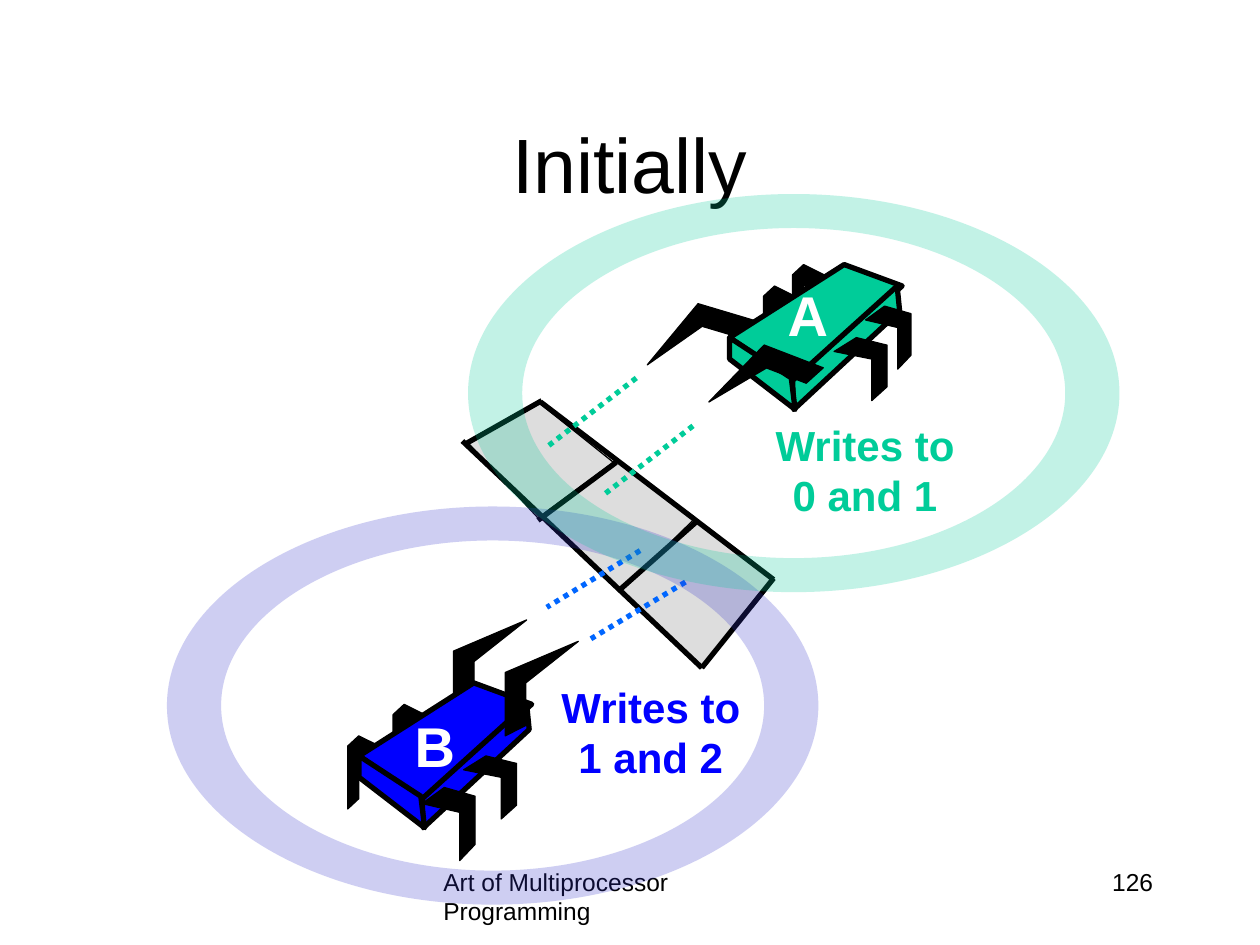
from dataclasses import dataclass

from lxml import etree
from pptx import Presentation
from pptx.dml.color import RGBColor
from pptx.enum.dml import MSO_LINE
from pptx.enum.shapes import MSO_CONNECTOR
from pptx.enum.text import MSO_ANCHOR, PP_ALIGN
from pptx.oxml.ns import qn
from pptx.util import Cm, Pt

BLACK = RGBColor(0x00, 0x00, 0x00)
WHITE = RGBColor(0xFF, 0xFF, 0xFF)
GREY = RGBColor(0xDD, 0xDD, 0xDD)
GREEN = RGBColor(0x00, 0xCC, 0x99)
BLUE = RGBColor(0x00, 0x00, 0xFF)
SKY = RGBColor(0x00, 0x66, 0xFF)
INDIGO = RGBColor(0x33, 0x33, 0xCC)

LEFT, MID, RIGHT = PP_ALIGN.LEFT, PP_ALIGN.CENTER, PP_ALIGN.RIGHT
CENTER = MSO_ANCHOR.MIDDLE
DOT = MSO_LINE.ROUND_DOT
STRAIGHT = MSO_CONNECTOR.STRAIGHT
BEND = 0.55  # handle length of a quarter ellipse

Points = list[tuple[float, float]]


@dataclass
class Leg:
    x: float
    y: float
    w: float
    h: float
    turn: float = 0  # a turned leg is mirrored too


@dataclass
class Bug:
    x: float
    y: float
    color: RGBColor
    legs_back: list[Leg]
    legs_side: list[Leg]
    arms: tuple[Leg, Leg]


@dataclass
class Label:
    text: str
    box: tuple[float, float, float, float]
    size: int
    color: RGBColor
    align: PP_ALIGN
    bold: bool = False
    wrap: bool = True


@dataclass
class Line:
    start: tuple[float, float]
    end: tuple[float, float]
    color: RGBColor = BLACK
    dash: MSO_LINE | None = None


# Leg outlines, as fractions of their box
ARM = [(0, 1), (0.28, 0.89), (0.28, 0.44), (1, 0), (0, 0.33)]
BACK = [(1, 0.14), (0.35, 0), (0, 0.14), (0, 1), (0.35, 0.86),
        (0.35, 0.28), (1, 0.43)]
SIDE = [(0.42, 0), (0, 0.22), (0.71, 0.34), (0.71, 1), (1, 0.78), (1, 0.12)]

# Body faces, from the corner of the body
BODY = [
    [(0.91, 0), (0, 0.58), (0.51, 0.93), (1.37, 0.17)],
    [(1.33, 0.17), (0.5, 0.92), (0.51, 1.15), (1.35, 0.37)],
    [(0, 0.58), (0, 0.75), (0.52, 1.15), (0.49, 0.9)],
]

BUGS = [
    Bug(2.85, 5.42, BLUE,
        [Leg(2.76, 5.84, 0.25, 0.58), Leg(3.12, 5.59, 0.25, 0.58)],
        [Leg(3.35, 6.25, 0.42, 0.58), Leg(3.68, 6, 0.42, 0.5)],
        (Leg(3.6, 4.92, 0.58, 0.75), Leg(4.01, 5.09, 0.58, 0.75))),
    Bug(5.79, 2.1, GREEN,
        [Leg(6.29, 2.1, 0.25, 0.58), Leg(6.06, 2.27, 0.25, 0.58)],
        [Leg(6.87, 2.43, 0.36, 0.5), Leg(6.62, 2.68, 0.42, 0.5)],
        (Leg(5.29, 2.35, 0.58, 0.75, 286.6),
         Leg(5.79, 2.68, 0.58, 0.75, 291.1))),
]

TILES = [
    [(5.51, 4.11), (4.9, 4.68), (5.57, 5.3), (6.14, 4.6)],
    [(4.29, 4.08), (4.92, 4.7), (5.52, 4.11), (4.89, 3.65)],
    [(4.27, 3.19), (3.71, 3.51), (4.27, 4.11), (4.87, 3.67)],
]

LINES = [
    Line((3.67, 3.5), (5.57, 5.3)),
    Line((4.29, 3.19), (6.14, 4.6)),
    Line((3.7, 3.52), (4.3, 3.18)),
    Line((5.57, 5.3), (6.14, 4.59)),
    Line((4.92, 4.68), (5.54, 4.13)),
    Line((4.27, 4.13), (4.89, 3.67)),
    Line((5.05, 3), (4.35, 3.54), GREEN, DOT),
    Line((5.5, 3.38), (4.8, 3.92), GREEN, DOT),
    Line((5.08, 4.37), (4.34, 4.82), SKY, DOT),
    Line((5.44, 4.62), (4.69, 5.07), SKY, DOT),
]

FOOT = [
    Label("Art of Multiprocessor Programming", (3.42, 6.83, 3.17, 0.5),
          14, BLACK, LEFT),
    Label("126", (7.17, 6.83, 2.08, 0.5), 14, BLACK, RIGHT),
]
NOTES = [
    Label("Writes to 0 and 1", (5.94, 3.28, 1.85, 0.91), 24, GREEN, MID, True),
    Label("Writes to 1 and 2", (4.24, 5.36, 1.85, 0.91), 24, BLUE, MID, True),
]
NAMES = [
    Label("A", (6.14, 2.18, 0.53, 0.63), 32, WHITE, RIGHT, True, False),
    Label("B", (3.18, 5.6, 0.53, 0.64), 32, WHITE, RIGHT, True, False),
]


def inch(val: float) -> Cm:
    return Cm(val * 2.54)


def write(frame, item: Label) -> None:
    frame.word_wrap = item.wrap
    par = frame.paragraphs[0]
    par.alignment = item.align
    run = par.add_run()
    run.text = item.text
    form = {"name": "Arial", "size": Pt(item.size), "bold": item.bold}
    for key, val in form.items():
        setattr(run.font, key, val)
    run.font.color.rgb = item.color


def add_label(shapes, item: Label) -> None:
    box = shapes.add_textbox(*map(inch, item.box))
    write(box.text_frame, item)


def add_free(shapes, rings: list[Points], color: RGBColor, width: float):
    first, *rest = [[(inch(x), inch(y)) for x, y in ring] for ring in rings]
    pen = shapes.build_freeform(*first[0])
    pen.add_line_segments(first[1:], close=True)
    for ring in rest:
        pen.move_to(*ring[0])
        pen.add_line_segments(ring[1:], close=True)
    shape = pen.convert_to_shape()
    shape.shadow.inherit = False
    shape.fill.solid()
    shape.fill.fore_color.rgb = color
    if width:
        shape.line.color.rgb = BLACK
        shape.line.width = Pt(width)
    else:
        shape.line.fill.background()
    return shape


def add_leg(shapes, form: Points, leg: Leg) -> None:
    pts = [(leg.x + leg.w * (1 - u if leg.turn else u), leg.y + leg.h * v)
           for u, v in form]
    add_free(shapes, [pts], BLACK, 0.75).rotation = leg.turn


def add_bug(shapes, bug: Bug) -> None:
    group = shapes.add_group_shape().shapes
    add_leg(group, ARM, bug.arms[0])
    for leg in bug.legs_back:
        add_leg(group, BACK, leg)
    for face in BODY:
        pts = [(bug.x + x, bug.y + y) for x, y in face]
        add_free(group, [pts], bug.color, 3)
    for leg in bug.legs_side:
        add_leg(group, SIDE, leg)
    add_leg(group, ARM, bug.arms[1])


def add_line(shapes, item: Line) -> None:
    line = shapes.add_connector(STRAIGHT, *map(inch, item.start + item.end))
    line.line.color.rgb = item.color
    line.line.width = Pt(3)
    if item.dash:
        line.line.dash_style = item.dash
    etree.SubElement(line._element.spPr, qn("a:effectLst"))


def curve(shape) -> None:
    """Turn the sides of each diamond into quarter ellipses."""
    x0 = y0 = 0
    for pt in list(shape._element.spPr.iter(qn("a:pt"))):
        x, y = int(pt.get("x")), int(pt.get("y"))
        step = pt.getparent()
        if step.tag == qn("a:moveTo"):
            flat = False
        else:
            dx, dy = BEND * (x - x0), BEND * (y - y0)
            hands = ([(x0 + dx, y0), (x, y - dy)] if flat
                     else [(x0, y0 + dy), (x - dx, y)])
            arc = etree.Element(qn("a:cubicBezTo"))
            for hx, hy in hands + [(x, y)]:
                etree.SubElement(arc, qn("a:pt"),
                                 x=str(round(hx)), y=str(round(hy)))
            step.getparent().replace(step, arc)
            flat = not flat
        x0, y0 = x, y


def add_ring(shapes, x: float, y: float, color: RGBColor) -> None:
    rings = [[(x - w, y), (x, y - h), (x + w, y), (x, y + h), (x - w, y)]
             for w, h in ((2.585, 1.58), (2.155, -1.31))]
    shape = add_free(shapes, rings, color, 0)
    curve(shape)
    tint = shape._element.spPr.find(qn("a:solidFill"))[0]
    etree.SubElement(tint, qn("a:alpha"), val="24000")


def main() -> None:
    deck = Presentation()
    deck.slide_width, deck.slide_height = inch(10), inch(7.5)
    slide = deck.slides.add_slide(deck.slide_layouts[5])
    shapes = slide.shapes

    # Title
    title = shapes.title
    box = dict(zip(("left", "top", "width", "height"),
                   map(inch, (0.75, 0.67, 8.5, 1.25))))
    for key, val in box.items():
        setattr(title, key, val)
    title.text_frame.vertical_anchor = CENTER
    write(title.text_frame, Label("Initially", (), 44, BLACK, MID))

    # Footer and memory cells
    for item in FOOT:
        add_label(shapes, item)
    for tile in TILES:
        add_free(shapes, [tile], GREY, 0.75)

    # Threads, their notes and their writes
    for bug in BUGS:
        add_bug(shapes, bug)
    for item in NOTES:
        add_label(shapes, item)
    for item in LINES:
        add_line(shapes, item)
    for item in NAMES:
        add_label(shapes, item)

    # Reach of each thread
    add_ring(shapes, 3.91, 5.6, INDIGO)
    add_ring(shapes, 6.3, 3.12, GREEN)

    deck.save("out.pptx")


if __name__ == "__main__":
    main()
